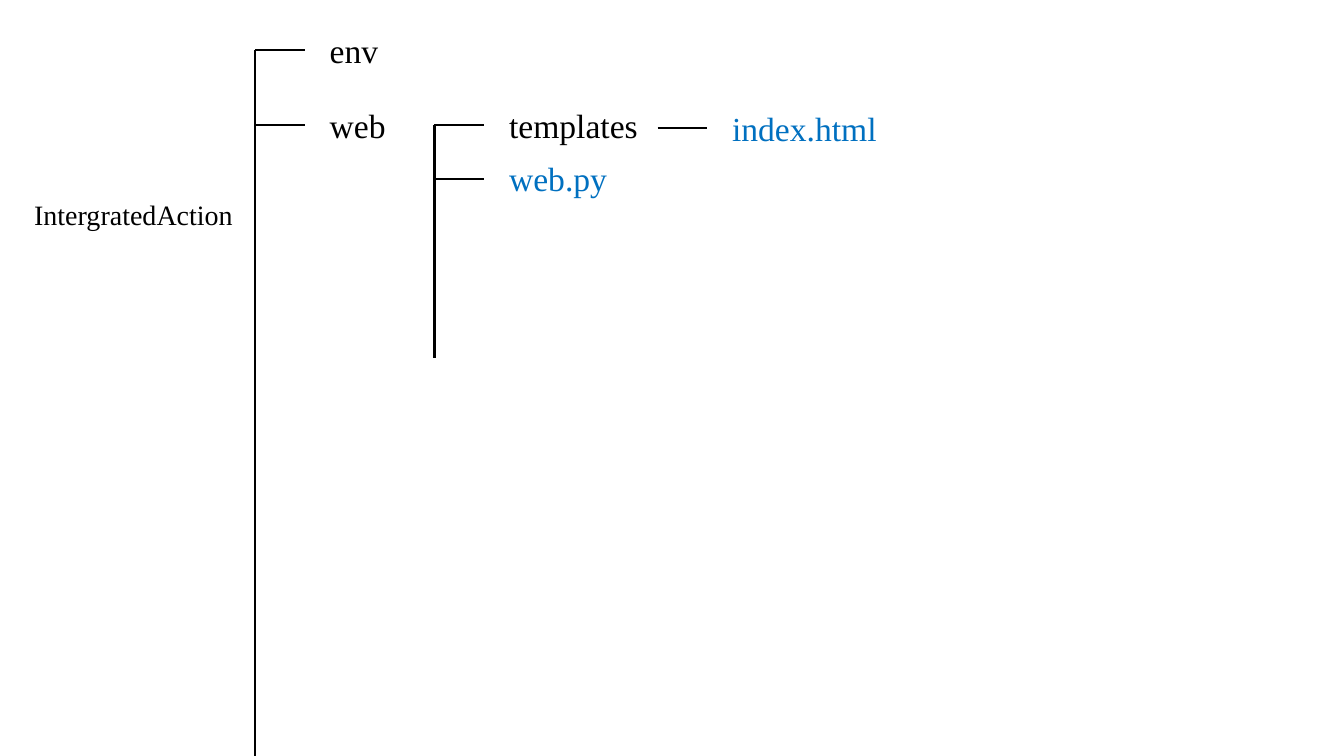
"""Build a slide that shows a project folder tree."""
from lxml.etree import SubElement
from pptx import Presentation
from pptx.dml.color import RGBColor
from pptx.enum.shapes import MSO_CONNECTOR as Connector
from pptx.enum.text import MSO_AUTO_SIZE as AutoSize
from pptx.oxml.ns import qn
from pptx.util import Cm, Pt

BLACK = "000000"
FILE_BLUE = "0070C0"
BRANCH_LENGTH = 1.25
LABEL_OFFSET = 1.63
LABEL_HEIGHT = 1.28
ROOT_X, WEB_X, TEMPLATES_X = 6.43, 10.95, 16.57
SLIDE_WIDTH, SLIDE_HEIGHT = 33.87, 19.05
TOP_Y = 1.27

ENTRIES = [
    ("env", ROOT_X, TOP_Y, 2.9, BLACK),
    ("web", ROOT_X, 3.15, 2.9, BLACK),
    ("templates", WEB_X, 3.16, 4.2, BLACK),
    ("web.py", WEB_X, 4.5, 7.98, FILE_BLUE),
    ("index.html", TEMPLATES_X, 3.23, 7.98, FILE_BLUE),
]


def color(value):
    """Return the colour for a hex string."""
    return RGBColor.from_string(value)


def add_line(shapes, x1, y1, x2, y2):
    """Draw a plain black line between two points."""
    line = shapes.add_connector(Connector.STRAIGHT, Cm(x1), Cm(y1), Cm(x2), Cm(y2))
    line.line.color.rgb = color(BLACK)
    line.line.width = Pt(1.5)
    SubElement(line._element.spPr, qn("a:effectLst"))


def add_label(shapes, text, left, top, width, height, size, text_color):
    """Add a one-line name."""
    label = shapes.add_textbox(Cm(left), Cm(top), Cm(width), Cm(height))
    frame = label.text_frame
    frame.word_wrap = True
    frame.auto_size = AutoSize.SHAPE_TO_FIT_TEXT
    paragraph = frame.paragraphs[0]
    paragraph.text = text
    paragraph.font.name = "Times New Roman"
    paragraph.font.size = Pt(size)
    paragraph.font.color.rgb = color(text_color)


def add_entry(slide, name, x, y, width, text_color):
    """Add a grouped branch line and the name at its end."""
    shapes = slide.shapes.add_group_shape().shapes
    add_line(shapes, x, y, x + BRANCH_LENGTH, y)
    add_label(shapes, name, x + LABEL_OFFSET, y - LABEL_HEIGHT / 2,
              width, LABEL_HEIGHT, 24, text_color)


def main():
    """Build and save the slide."""
    presentation = Presentation()
    presentation.slide_width = Cm(SLIDE_WIDTH)
    presentation.slide_height = Cm(SLIDE_HEIGHT)
    slide = presentation.slides.add_slide(presentation.slide_layouts[6])
    add_label(slide.shapes, "IntergratedAction", 0.61, 4.85, 5.82, 1.11, 20, BLACK)
    add_line(slide.shapes, ROOT_X, TOP_Y, ROOT_X, SLIDE_HEIGHT)
    add_line(slide.shapes, WEB_X, 3.15, WEB_X, 9.02)
    for entry in ENTRIES:
        add_entry(slide, *entry)
    presentation.save("out.pptx")


main()
